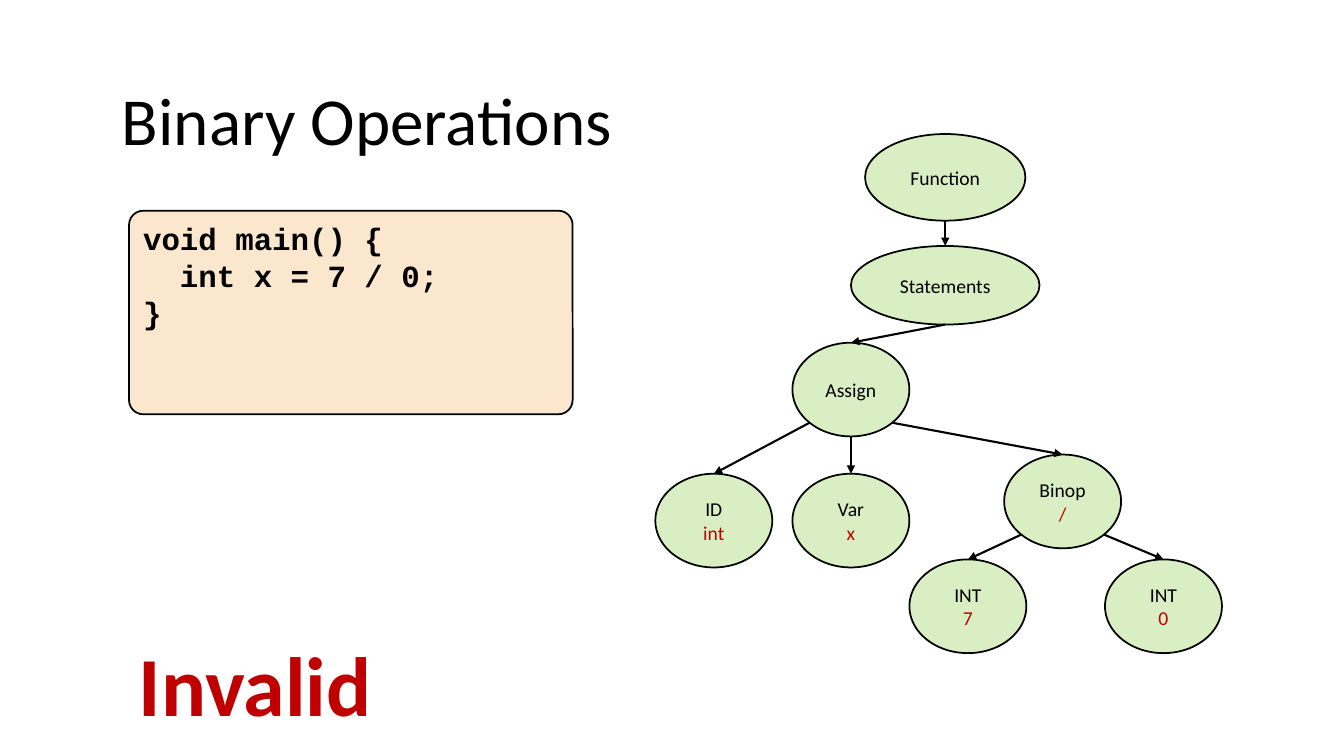
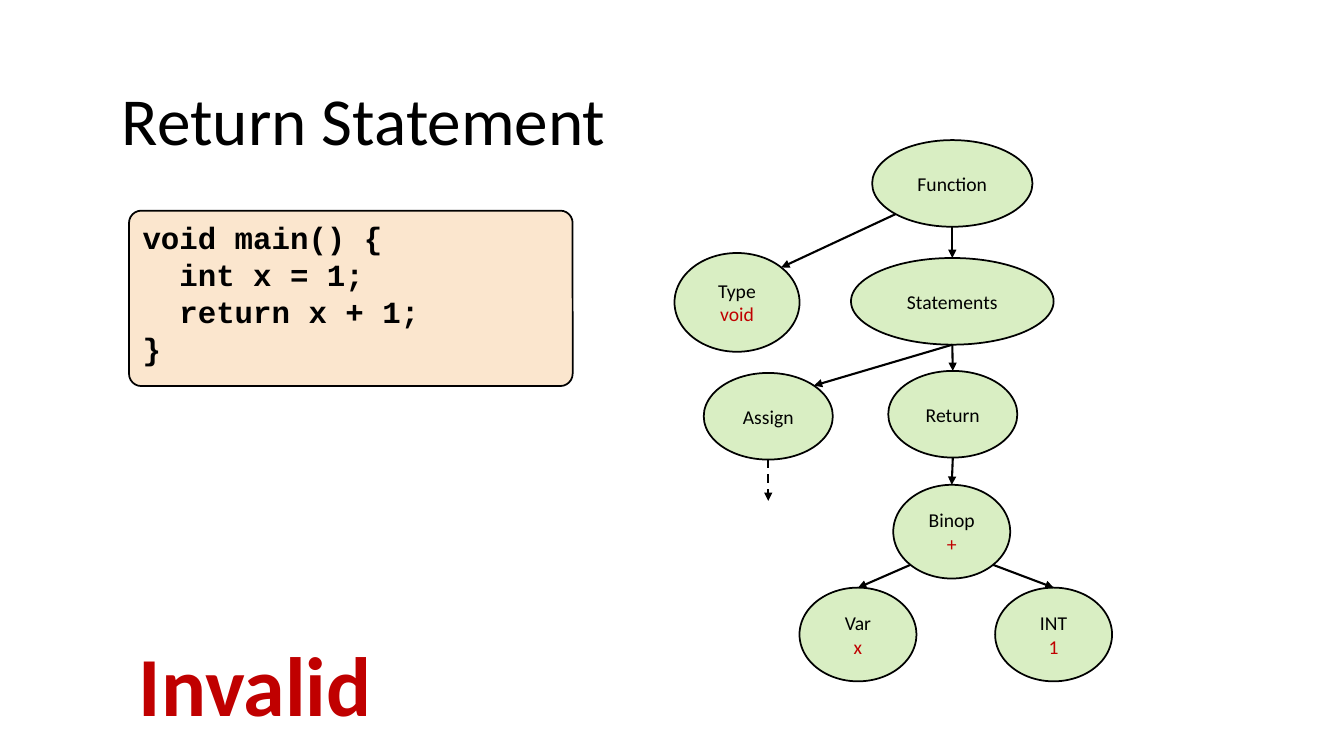
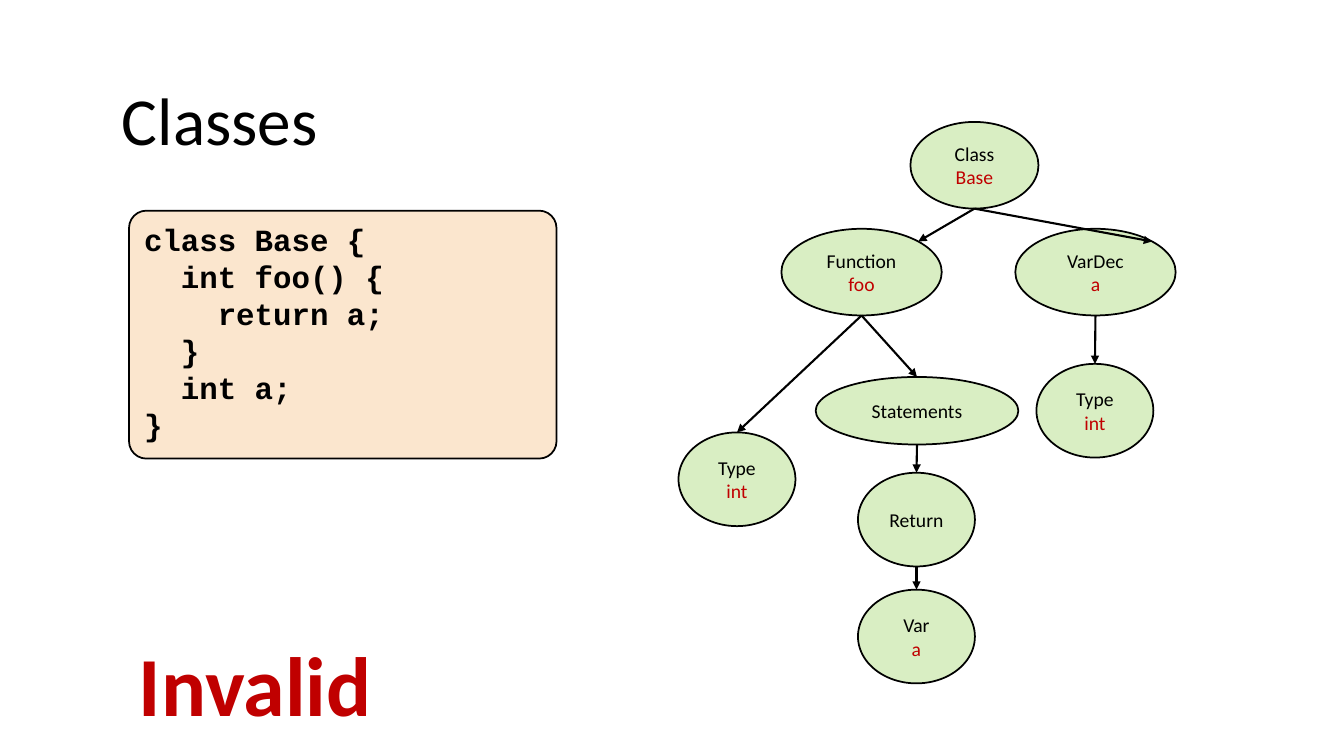
from dataclasses import dataclass
from math import cos, pi, sin
from typing import NamedTuple

from lxml.etree import SubElement
from pptx import Presentation
from pptx.dml.color import RGBColor
from pptx.enum.dml import MSO_LINE
from pptx.enum.shapes import MSO_CONNECTOR, MSO_SHAPE
from pptx.enum.text import MSO_ANCHOR, MSO_AUTO_SIZE, PP_ALIGN
from pptx.oxml.ns import qn
from pptx.util import Pt

PX = 9144  # EMU in one px, at 100 px to the inch


@dataclass(frozen=True)
class Theme:
    ink: str = "000000"
    red: str = "C00000"
    leaf: str = "92D050"
    sand: str = "FBE6CE"
    alpha: int = 34000
    sans: str = "Calibri"
    mono: str = "Courier New"
    title: int = 48
    code: int = 22
    node: int = 14
    stamp: int = 60
    edge: float = 1.25
    arrow: float = 1.5


THEME = Theme()

# Ellipse connection sites, counted anticlockwise from the top
TOP, LOW_LEFT, LOW, LOW_RIGHT, UP_RIGHT = 0, 3, 4, 5, 7


class Box(NamedTuple):
    x: int
    y: int
    w: int
    h: int

    def emu(self) -> list[int]:
        return [side * PX for side in self]

    def site(self, num: int) -> tuple[int, int]:
        turn = num * pi / 4
        return (round((self.x + self.w / 2 * (1 - sin(turn))) * PX),
                round((self.y + self.h / 2 * (1 - cos(turn))) * PX))


class Node(NamedTuple):
    key: str
    label: str
    x: int
    y: int
    w: int = 116
    h: int = 93
    value: str = ""


class Edge(NamedTuple):
    start: str
    out: int
    end: str
    into: int = TOP


class Page(NamedTuple):
    title: str
    code: str
    size: tuple[int, int]
    nodes: list[Node]
    edges: list[Edge]
    stubs: dict[str, int] = {}  # node key: length of its dashed arrow


PAGES = [
    Page(
        "Binary Operations",
        "void main() {\n  int x = 7 / 0;\n}",
        (440, 202),
        [
            Node("func", "Function", 858, 133, 159, 86),
            Node("body", "Statements", 844, 244, 187, 78),
            Node("set", "Assign", 786, 340),
            Node("id", "ID", 650, 470, value="int"),
            Node("var", "Var", 786, 470, value="x"),
            Node("op", "Binop", 996, 451, value="/"),
            Node("left", "INT", 902, 555, value="7"),
            Node("right", "INT", 1096, 555, value="0"),
        ],
        [
            Edge("func", LOW, "body"),
            Edge("body", LOW, "set"),
            Edge("set", LOW_LEFT, "id"),
            Edge("set", LOW, "var"),
            Edge("set", LOW_RIGHT, "op"),
            Edge("op", LOW_LEFT, "left"),
            Edge("op", LOW_RIGHT, "right"),
        ],
    ),
    Page(
        "Return Statement",
        "void main() {\n  int x = 1;\n  return x + 1;\n}",
        (440, 174),
        [
            Node("func", "Function", 865, 139, 159, 86),
            Node("type", "Type", 669, 251, 124, 98, "void"),
            Node("body", "Statements", 844, 256, 201, 86),
            Node("set", "Assign", 698, 370, 128, 86),
            Node("ret", "Return", 881, 368, 128, 86),
            Node("op", "Binop", 886, 481, value="+"),
            Node("left", "Var", 793, 583, value="x"),
            Node("right", "INT", 987, 583, value="1"),
        ],
        [
            Edge("func", LOW, "body"),
            Edge("func", LOW_LEFT, "type", UP_RIGHT),
            Edge("body", LOW, "ret"),
            Edge("body", LOW, "set", UP_RIGHT),
            Edge("ret", LOW, "op"),
            Edge("op", LOW_LEFT, "left"),
            Edge("op", LOW_RIGHT, "right"),
        ],
        {"set": 41},
    ),
    Page(
        "Classes",
        "class Base {\n  int foo() {\n    return a;\n  }\n  int a;\n}",
        (424, 246),
        [
            Node("class", "Class", 903, 121, 127, 86, "Base"),
            Node("func", "Function", 775, 227, 159, 86, "foo"),
            Node("dec", "VarDec", 1007, 227, 159, 86, "a"),
            Node("left", "Type", 673, 429, value="int"),
            Node("body", "Statements", 809, 374, 201, 67),
            Node("right", "Type", 1028, 361, value="int"),
            Node("ret", "Return", 851, 469),
            Node("var", "Var", 851, 585, value="a"),
        ],
        [
            Edge("class", LOW, "func", UP_RIGHT),
            Edge("class", LOW, "dec", UP_RIGHT),
            Edge("func", LOW, "left"),
            Edge("func", LOW, "body"),
            Edge("dec", LOW, "right"),
            Edge("body", LOW, "ret"),
            Edge("ret", LOW, "var"),
        ],
    ),
]


def write(frame, text: str, size: int, tint: str = THEME.ink, face: str = THEME.sans,
          bold: bool = False, align=PP_ALIGN.LEFT, anchor=MSO_ANCHOR.TOP) -> None:
    frame.text = text
    frame.word_wrap = True
    frame.vertical_anchor = anchor
    for para in frame.paragraphs:
        para.alignment = align
        for run in para.runs:
            run.font.name, run.font.size, run.font.bold = face, Pt(size), bold
            run.font.color.rgb = RGBColor.from_string(tint)


def draw_shape(slide, kind, box: Box, fill: str):
    shape = slide.shapes.add_shape(kind, *box.emu())
    shape.shadow.inherit = False
    shape.fill.solid()
    shape.fill.fore_color.rgb = RGBColor.from_string(fill)
    shape.line.color.rgb = RGBColor.from_string(THEME.ink)
    shape.line.width = Pt(THEME.edge)
    return shape


def draw_node(slide, node: Node):
    shape = draw_shape(slide, MSO_SHAPE.OVAL, Box(node.x, node.y, node.w, node.h), THEME.leaf)
    tint = shape.fill._xPr.find(qn("a:solidFill"))[0]
    SubElement(tint, qn("a:alpha"), val=str(THEME.alpha))
    text = f"{node.label}\n{node.value}" if node.value else node.label
    write(shape.text_frame, text, THEME.node, align=PP_ALIGN.CENTER, anchor=MSO_ANCHOR.MIDDLE)
    for para in shape.text_frame.paragraphs[1:]:
        para.runs[0].font.color.rgb = RGBColor.from_string(THEME.red)
    return shape


def draw_arrow(slide, start: tuple[int, int], end: tuple[int, int], dash: bool = False):
    arrow = slide.shapes.add_connector(MSO_CONNECTOR.STRAIGHT, *start, *end)
    arrow.line.color.rgb = RGBColor.from_string(THEME.ink)
    arrow.line.width = Pt(THEME.arrow)
    if dash:
        arrow.line.dash_style = MSO_LINE.DASH
    SubElement(arrow.line._get_or_add_ln(), qn("a:tailEnd"), type="triangle")
    SubElement(arrow._element.spPr, qn("a:effectLst"))
    return arrow


def glue(arrow, tag: str, shape, site: int) -> None:
    # Ellipses have eight sites, more than begin_connect knows
    props = arrow._element.nvCxnSpPr.cNvCxnSpPr
    SubElement(props, qn(tag), id=str(shape.shape_id), idx=str(site))


def draw_tree(slide, page: Page) -> None:
    boxes = {node.key: Box(node.x, node.y, node.w, node.h) for node in page.nodes}
    shapes = {node.key: draw_node(slide, node) for node in page.nodes}
    for edge in page.edges:
        arrow = draw_arrow(slide, boxes[edge.start].site(edge.out),
                           boxes[edge.end].site(edge.into))
        glue(arrow, "a:stCxn", shapes[edge.start], edge.out)
        glue(arrow, "a:endCxn", shapes[edge.end], edge.into)
    for key, size in page.stubs.items():
        x, y = boxes[key].site(LOW)
        arrow = draw_arrow(slide, (x, y), (x, y + size * PX), dash=True)
        glue(arrow, "a:stCxn", shapes[key], LOW)


def draw_page(deck, page: Page) -> None:
    slide = deck.slides.add_slide(deck.slide_layouts[5])

    # Title
    title = slide.shapes.title
    title.left, title.top, title.width, title.height = Box(111, 73, 1109, 91).emu()
    write(title.text_frame, page.title, THEME.title)
    title.text_frame.auto_size = MSO_AUTO_SIZE.SHAPE_TO_FIT_TEXT

    # Syntax tree
    draw_tree(slide, page)

    # Code panel
    panel = draw_shape(slide, MSO_SHAPE.ROUNDED_RECTANGLE, Box(128, 209, *page.size), THEME.sand)
    panel.adjustments[0] = 0.07
    write(panel.text_frame, page.code, THEME.code, face=THEME.mono, bold=True)

    # Verdict
    stamp = slide.shapes.add_textbox(*Box(128, 623, 306, 111).emu())
    write(stamp.text_frame, "Invalid", THEME.stamp, THEME.red, bold=True)
    stamp.text_frame.auto_size = MSO_AUTO_SIZE.SHAPE_TO_FIT_TEXT


def main() -> None:
    deck = Presentation()
    deck.slide_width, deck.slide_height = 1333 * PX, 750 * PX
    for page in PAGES:
        draw_page(deck, page)
    deck.save("out.pptx")


if __name__ == "__main__":
    main()
